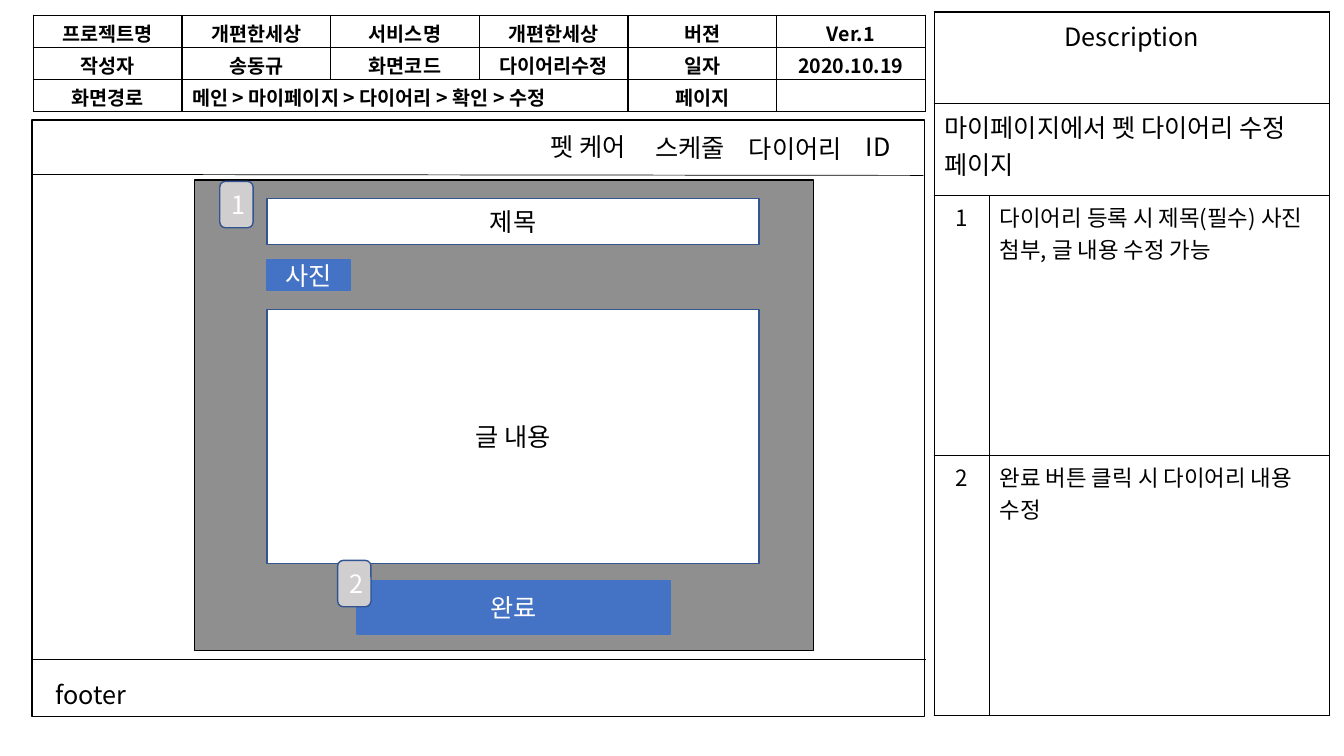
from dataclasses import dataclass

from lxml.etree import SubElement
from pptx import Presentation
from pptx.dml.color import RGBColor
from pptx.enum.shapes import MSO_CONNECTOR as Link, MSO_SHAPE as Form
from pptx.enum.text import MSO_ANCHOR as Anchor, PP_ALIGN as Align
from pptx.oxml import parse_xml
from pptx.oxml.ns import nsdecls, qn
from pptx.util import Pt

BLACK = RGBColor(0x00, 0x00, 0x00)
WHITE = RGBColor(0xFF, 0xFF, 0xFF)
BLUE = RGBColor(0x44, 0x72, 0xC4)
NAVY = RGBColor(0x32, 0x54, 0x91)
GRAY = RGBColor(0xD0, 0xCE, 0xCE)
FONT = "Noto Sans CJK KR"


@dataclass
class Box:
    left: float
    top: float
    width: float
    height: float
    text: str = ""
    fill: RGBColor | None = None
    line: RGBColor = BLACK
    ink: RGBColor = WHITE
    form: Form = Form.RECTANGLE
    alpha: int = 100


@dataclass
class Label:
    left: float
    top: float
    width: float
    text: str


@dataclass
class Rule:
    x1: float
    y1: float
    x2: float
    y2: float


@dataclass
class Grid:
    left: float
    top: float
    cols: list[float]
    rows: list[float]
    cells: list[list[str]]
    spans: list[tuple[int, int, int]]  # row, first column, last column
    sizes: list[int]  # text size of each row
    head: float  # top inset
    foot: float  # bottom inset
    bold: bool = False


FRAME = Box(23, 85.7, 637.2, 426.2)
RULES = [Rule(22.3, 124.6, 659.5, 125.3), Rule(23.8, 470.9, 661.7, 470.9)]
FOOTER = Label(32.4, 481.7, 124.6, "footer")
NAV = [
    Label(385.9, 90, 75.6, "펫 케어"),
    Label(460.8, 90.7, 71.3, "스케줄"),
    Label(527.8, 91.4, 87.8, "다이어리"),
    Label(611.3, 90, 52.6, "ID"),
]
FORM = [
    Box(138.9, 128.5, 442.1, 336.2, fill=BLACK, alpha=44),
    Box(190.8, 141.8, 351.4, 33.1, "제목", WHITE, NAVY, BLACK),
    Box(190.8, 185.8, 59.8, 21.6, "사진", BLUE, BLUE),
    Box(190.8, 221, 351.4, 181.4, "글 내용", WHITE, NAVY, BLACK),
    Box(254.9, 414.7, 223.9, 38.2, "완료", BLUE, BLUE),
    Box(157, 129.6, 23.8, 33.1, "1", GRAY, NAVY, form=Form.ROUNDED_RECTANGLE),
    Box(241.2, 400.3, 23.8, 33.1, "2", GRAY, NAVY, form=Form.ROUNDED_RECTANGLE),
]
HEADER = Grid(
    23.8, 10.8, [106.2] * 6, [23] * 3,
    [
        ["프로젝트명", "개편한세상", "서비스명", "개편한세상", "버젼", "Ver.1"],
        ["작성자", "송동규", "화면코드", "다이어리수정", "일자", "2020.10.19"],
        ["화면경로", "메인 > 마이페이지 > 다이어리 > 확인 > 수정", "", "", "페이지", ""],
    ],
    [(2, 1, 3)], [14] * 3, 2.6, 0, True,
)
NOTES = Grid(
    667.4, 8.6, [39.6, 242.6], [65.5, 65.5, 185.8, 185.8],
    [
        ["Description", ""],
        ["마이페이지에서 펫 다이어리 수정 페이지", ""],
        ["1", "다이어리 등록 시 제목(필수) 사진 첨부, 글 내용 수정 가능"],
        ["2", "완료 버튼 클릭 시 다이어리 내용 수정"],
    ],
    [(0, 0, 1), (1, 0, 1)], [18, 18, 16, 16], 3.6, 3.6,
)
LEFT = {HEADER.cells[2][1], NOTES.cells[1][0], NOTES.cells[2][1], NOTES.cells[3][1]}


def write(frame, text: str, size: int = 18, ink: RGBColor = BLACK,
          align: Align = Align.LEFT, bold: bool = False) -> None:
    frame.text = text
    para = frame.paragraphs[0]
    para.alignment = align
    for run in para.runs:
        font = run.font
        font.name, font.size, font.bold = FONT, Pt(size), bold
        font.color.rgb = ink
        SubElement(font.element if hasattr(font, "element") else run._r.get_or_add_rPr(),
                   qn("a:ea"), typeface=FONT)
    if not para.runs:
        SubElement(para._p, qn("a:endParaRPr"), sz=str(size * 100))


def draw_box(shapes, box: Box) -> None:
    shape = shapes.add_shape(box.form, Pt(box.left), Pt(box.top), Pt(box.width), Pt(box.height))
    shape.shadow.inherit = False
    shape.line.color.rgb = box.line
    shape.line.width = Pt(1)
    if box.fill is None:
        shape.fill.background()
    else:
        shape.fill.solid()
        shape.fill.fore_color.rgb = box.fill
    if box.alpha < 100:
        tint = shape.element.spPr.find(qn("a:solidFill"))[0]
        SubElement(tint, qn("a:alpha"), val=str(box.alpha * 1000))
    if box.text:
        shape.text_frame.vertical_anchor = Anchor.MIDDLE
        write(shape.text_frame, box.text, ink=box.ink, align=Align.CENTER)


def draw_label(shapes, label: Label) -> None:
    box = shapes.add_textbox(Pt(label.left), Pt(label.top), Pt(label.width), Pt(29))
    box.text_frame.word_wrap = True
    write(box.text_frame, label.text)


def draw_rule(shapes, rule: Rule) -> None:
    link = shapes.add_connector(Link.STRAIGHT, Pt(rule.x1), Pt(rule.y1), Pt(rule.x2), Pt(rule.y2))
    link.line.color.rgb = BLACK
    link.line.width = Pt(0.5)
    SubElement(link.element.spPr, qn("a:effectLst"))


def edge(cell) -> None:
    """Put a thin black border on all four sides of a cell."""
    props = cell._tc.get_or_add_tcPr()
    for i, side in enumerate("LRTB"):
        props.insert(i, parse_xml(
            f'<a:ln{side} {nsdecls("a")} w="{Pt(1)}"><a:solidFill>'
            f'<a:srgbClr val="{BLACK}"/></a:solidFill></a:ln{side}>'))


def draw_grid(shapes, grid: Grid) -> None:
    table = shapes.add_table(
        len(grid.rows), len(grid.cols), Pt(grid.left), Pt(grid.top),
        Pt(sum(grid.cols)), Pt(sum(grid.rows))).table
    table.first_row = table.horz_banding = False
    for col, width in zip(table.columns, grid.cols):
        col.width = Pt(width)
    for row, height in zip(table.rows, grid.rows):
        row.height = Pt(height)
    for r, texts in enumerate(grid.cells):
        for c, text in enumerate(texts):
            cell = table.cell(r, c)
            cell.margin_top, cell.margin_bottom = Pt(grid.head), Pt(grid.foot)
            cell.fill.background()
            edge(cell)
            align = Align.LEFT if text in LEFT else Align.CENTER
            write(cell.text_frame, text, grid.sizes[r], align=align, bold=grid.bold)
    for row, first, last in grid.spans:
        table.cell(row, first).merge(table.cell(row, last))


def main() -> None:
    deck = Presentation()
    deck.slide_width, deck.slide_height = Pt(960), Pt(540)
    shapes = deck.slides.add_slide(deck.slide_layouts[6]).shapes
    draw_box(shapes, FRAME)
    for rule in RULES:
        draw_rule(shapes, rule)
    draw_label(shapes, FOOTER)
    menu = shapes.add_group_shape().shapes
    for label in NAV:
        draw_label(menu, label)
    draw_grid(shapes, HEADER)
    for box in FORM:
        draw_box(shapes, box)
    draw_grid(shapes, NOTES)
    deck.save("out.pptx")


if __name__ == "__main__":
    main()
